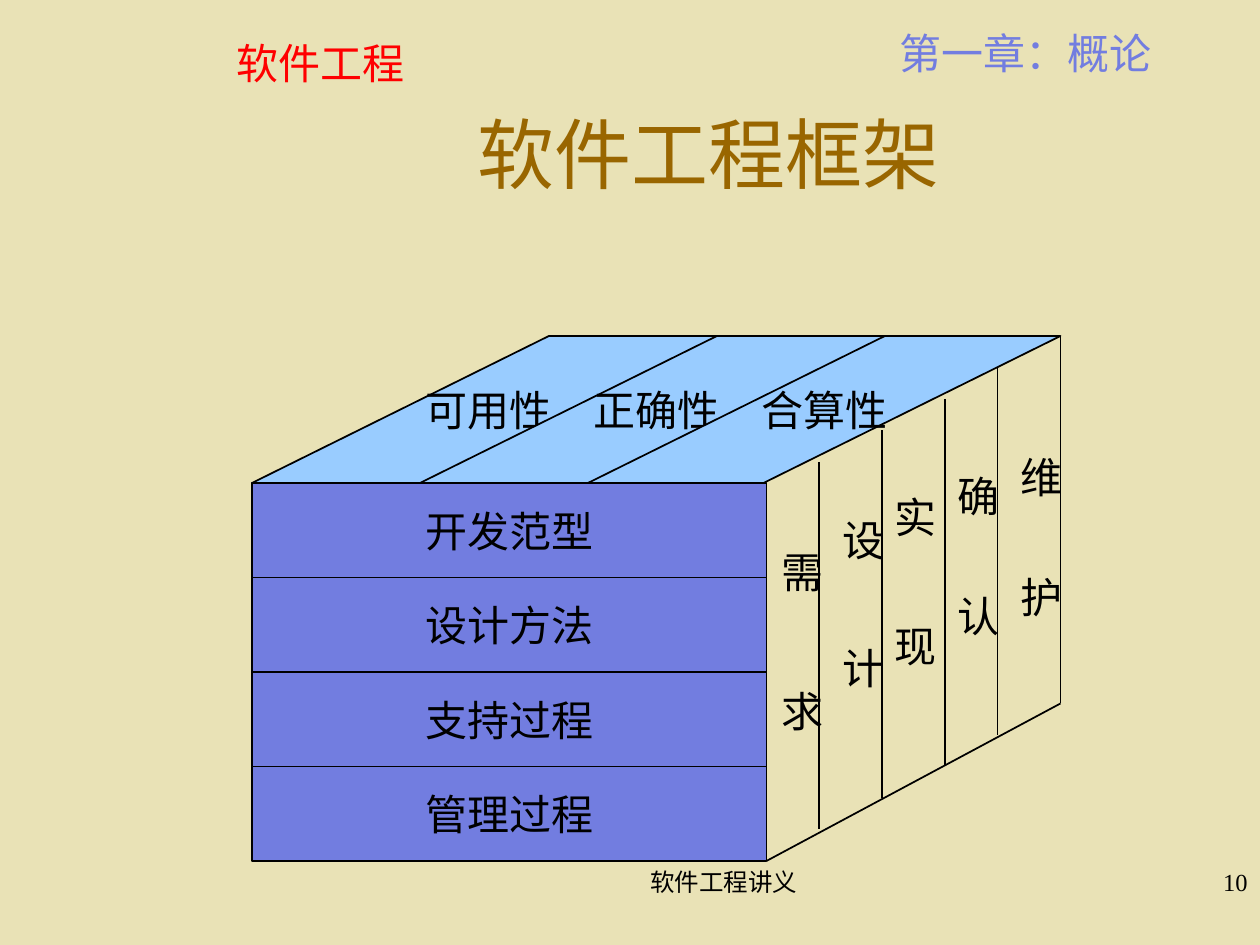
from dataclasses import dataclass

from lxml import etree
from pptx import Presentation
from pptx.dml.color import RGBColor
from pptx.enum.shapes import MSO_CONNECTOR, MSO_SHAPE as Shp
from pptx.enum.text import MSO_ANCHOR as Anchor, PP_ALIGN as Align
from pptx.oxml.ns import qn
from pptx.util import Emu, Pt

PX = 9525  # EMU in one px, 96 px to the inch
SERIF, CJK = "Times New Roman", "Noto Sans CJK SC"
BLACK, BLUE, SKY = "000000", "727DE0", "99CCFF"


@dataclass
class Box:
    x: int
    y: int
    w: int
    h: int

    def emu(self) -> list[Emu]:
        return [px(v) for v in (self.x, self.y, self.w, self.h)]


@dataclass
class Label:
    text: str
    box: Box
    color: str = BLACK
    size: int = 24
    font: str = SERIF
    align: Align = Align.LEFT
    wrap: bool = False
    indent: int = 0


@dataclass
class Phase:
    text: str
    x: int
    y: int
    gap: float  # points between the two characters
    edge: int   # x of the line to its right


def px(v: int) -> Emu:
    return Emu(v * PX)


def rgb(color: str) -> RGBColor:
    return RGBColor.from_string(color)


def style(r, color: str, size: int = 24, font: str = SERIF) -> None:
    r.font.size, r.font.name = Pt(size), font
    r.font.color.rgb = rgb(color)
    etree.SubElement(r.font._element, qn("a:ea")).set("typeface", CJK)


def add_label(slide, label: Label) -> None:
    tf = slide.shapes.add_textbox(*label.box.emu()).text_frame
    tf.word_wrap = label.wrap
    tf.text = label.text
    p = tf.paragraphs[0]
    p.alignment = label.align
    if label.indent:
        p._p.get_or_add_pPr().set("marL", str(px(label.indent)))
    style(p.runs[0], label.color, label.size, label.font)


def add_face(slide, kind: Shp, box: Box, fill: str, text: str):
    sp = slide.shapes.add_shape(kind, *box.emu())
    sp.shadow.inherit = False
    sp.fill.solid()
    sp.fill.fore_color.rgb = rgb(fill)
    sp.line.color.rgb, sp.line.width = rgb(BLACK), Pt(1)
    tf = sp.text_frame
    tf.word_wrap, tf.vertical_anchor = False, Anchor.MIDDLE
    tf.text = text
    p = tf.paragraphs[0]
    p.alignment = Align.CENTER
    style(p.runs[0], BLACK)
    return sp


def add_line(slide, x1: int, y1: int, x2: int, y2: int) -> None:
    cx = slide.shapes.add_connector(
        MSO_CONNECTOR.STRAIGHT, px(x1), px(y1), px(x2), px(y2))
    cx.line.color.rgb, cx.line.width = rgb(BLACK), Pt(1)
    etree.SubElement(cx._element.spPr, qn("a:effectLst"))


def add_vertical(slide, phase: Phase) -> None:
    box = Box(phase.x, phase.y, 58, 160)
    tf = slide.shapes.add_textbox(*box.emu()).text_frame
    tf.word_wrap = True
    tf.margin_left = tf.margin_right = Pt(3.6)
    tf.margin_top = tf.margin_bottom = Pt(7.2)
    tf._txBody.bodyPr.set("vert", "eaVert")
    for char in phase.text:
        r = tf.paragraphs[0].add_run()
        r.text = char
        style(r, BLACK)
    # Letter spacing after the first character spreads the pair
    first = tf.paragraphs[0].runs[0]
    first.font._element.set("spc", str(round(phase.gap * 100)))


METHODS = ["开发范型", "设计方法", "支持过程", "管理过程"]
GOALS = ["可用性", "正确性", "合算性"]
PHASES = [
    Phase("需求", 576, 411, 55, 624),
    Phase("设计", 623, 386, 49.5, 672),
    Phase("实现", 662, 369, 49.5, 720),
    Phase("确认", 710, 353, 44.5, 760),
    Phase("维护", 758, 338, 44.5, 808),
]
LABELS = [
    Label("软件工程", Box(152, 24, 184, 32), "FF0000", font=CJK,
          align=Align.CENTER),
    Label("第一章：概论", Box(676, 16, 211, 48), BLUE),
    Label("软件工程讲义", Box(360, 656, 360, 48), size=14,
          align=Align.CENTER, wrap=True, indent=23),
    Label("10", Box(760, 656, 200, 48), size=14,
          align=Align.RIGHT, wrap=True, indent=23),
]


def main() -> None:
    prs = Presentation()
    prs.slide_width, prs.slide_height = px(960), px(720)
    s = prs.slides.add_slide(prs.slide_layouts[5])
    s.background.fill.solid()
    s.background.fill.fore_color.rgb = rgb("E9E2B6")

    # Title
    title = s.shapes.title
    title.left, title.top, title.width, title.height = Box(144, 56, 792, 120).emu()
    tf = title.text_frame
    tf.text, tf.vertical_anchor = "软件工程框架", Anchor.MIDDLE
    tf.paragraphs[0].alignment = Align.CENTER
    style(tf.paragraphs[0].runs[0], "996600", 44)

    # Front face: method layers
    for i, text in enumerate(METHODS):
        add_face(s, Shp.RECTANGLE, Box(192, 368 + 72 * i, 392, 72), BLUE, text)

    # Top face: quality goals
    for i, text in enumerate(GOALS):
        sp = add_face(s, Shp.PARALLELOGRAM, Box(192 + 128 * i, 256, 360, 112), SKY, text)
        sp.adjustments[0] = 2.02

    # Right face: process phases
    add_line(s, 584, 656, 808, 536)
    for i, phase in enumerate(PHASES):
        top = 352 - 24 * i
        add_line(s, phase.edge, top, phase.edge, top + 280)
    for phase in PHASES:
        add_vertical(s, phase)

    # Header and footer
    for label in LABELS:
        add_label(s, label)

    prs.save("out.pptx")


if __name__ == "__main__":
    main()
